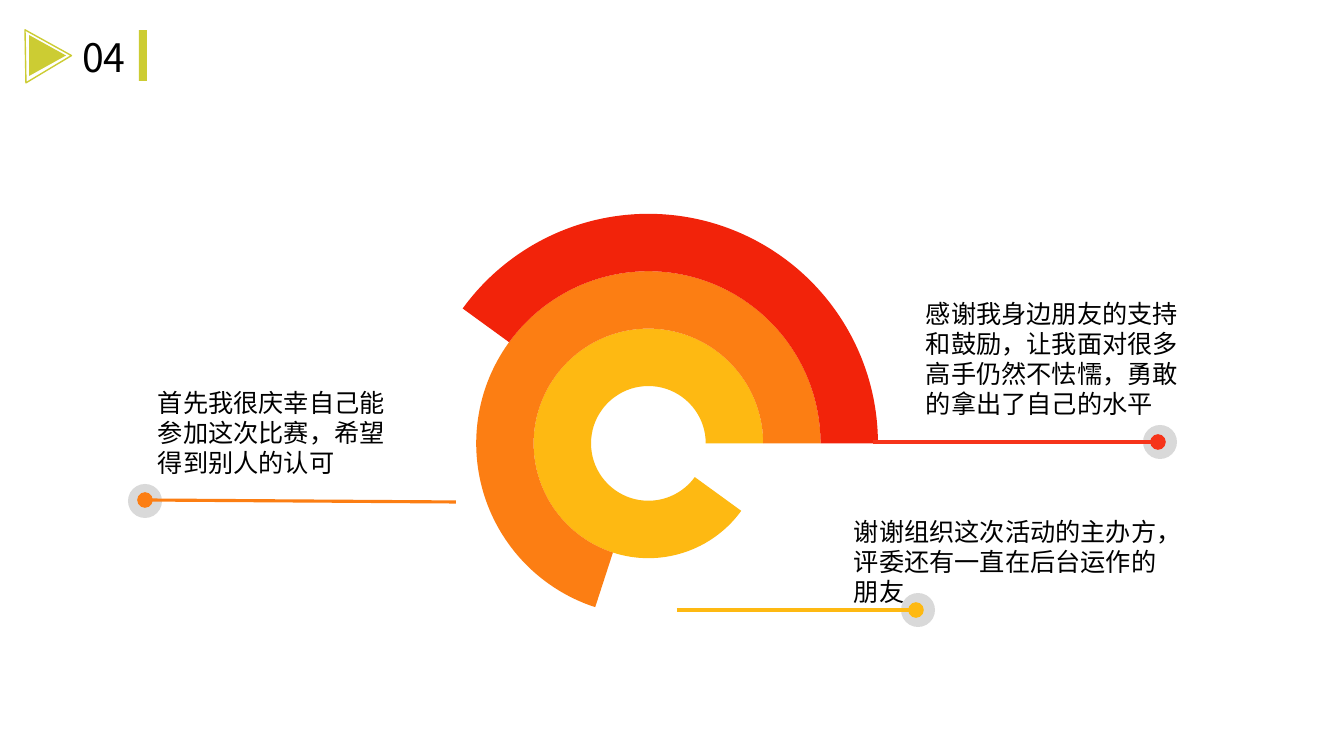
"""Build the closing-thanks slide with a ring chart and three callouts."""
from dataclasses import dataclass

from lxml.etree import SubElement
from pptx import Presentation
from pptx.chart.data import CategoryChartData
from pptx.dml.color import RGBColor
from pptx.enum.chart import XL_CHART_TYPE
from pptx.enum.shapes import MSO_CONNECTOR, MSO_SHAPE
from pptx.enum.text import MSO_ANCHOR, PP_ALIGN
from pptx.oxml import parse_xml
from pptx.oxml.ns import nsdecls, qn
from pptx.slide import Slide
from pptx.util import Emu, Pt

EMU_PER_PX = 12192000 / 1344
BLACK = RGBColor(0x00, 0x00, 0x00)
GREY = RGBColor(0xD9, 0xD9, 0xD9)
LIME = RGBColor(0xCC, 0xCC, 0x33)
YELLOW = RGBColor(0xFE, 0xB9, 0x12)
ORANGE = RGBColor(0xFC, 0x7E, 0x13)
RED = RGBColor(0xF2, 0x23, 0x0A)
BRIGHT_RED = RGBColor(0xF6, 0x34, 0x1A)
HALO = 34


@dataclass(frozen=True)
class Box:
    left: int
    top: int
    width: int
    height: int

    def emu(self) -> tuple[Emu, ...]:
        return tuple(px(n) for n in (self.left, self.top, self.width, self.height))


@dataclass(frozen=True)
class Ring:
    values: tuple[int | None, ...]
    visible: int | None = None
    color: RGBColor | None = None


@dataclass(frozen=True)
class Callout:
    text: str
    text_box: Box
    halo: tuple[int, int]
    start: tuple[int, int]
    end: tuple[int, int]
    color: RGBColor


RINGS = (
    Ring((10, 90, 0, 0), 1, YELLOW),
    Ring((0, 30, 70, 0), 2, ORANGE),
    Ring((0, 0, 60, 40), 3, RED),
    Ring((None, None, None, None)),
)
CALLOUTS = (
    Callout("首先我很庆幸自己能参加这次比赛，希望得到别人的认可",
            Box(148, 382, 256, 102), (128, 484), (456, 502), (145, 500), ORANGE),
    Callout("感谢我身边朋友的支持和鼓励，让我面对很多高手仍然不怯懦，勇敢的拿出了自己的水平",
            Box(916, 293, 291, 132), (1143, 425), (873, 442), (1158, 442), BRIGHT_RED),
    Callout("谢谢组织这次活动的主办方，评委还有一直在后台运作的朋友",
            Box(844, 511, 334, 102), (901, 593), (677, 610), (916, 610), YELLOW),
)


def px(n: int) -> Emu:
    return Emu(round(n * EMU_PER_PX))


def add_figure(s: Slide, kind: MSO_SHAPE, box: Box, fill: RGBColor | None,
               line: RGBColor | None = None, rotation: int = 0) -> None:
    sp = s.shapes.add_shape(kind, *box.emu())
    sp.shadow.inherit = False
    sp.rotation = rotation
    if fill is None:
        sp.fill.background()
    else:
        sp.fill.solid()
        sp.fill.fore_color.rgb = fill
    if line is None:
        sp.line.fill.background()
    else:
        sp.line.color.rgb = line
        sp.line.width = Pt(1)


def add_rings(s: Slide) -> None:
    data = CategoryChartData()
    data.categories = ["1", "2", "3", "4"]
    for n, ring in enumerate(RINGS, 1):
        data.add_series(f"Series {n}", ring.values)
    frame = s.shapes.add_chart(XL_CHART_TYPE.DOUGHNUT, *Box(200, 140, 897, 607).emu(), data)
    chart = frame.chart
    chart.has_legend = False
    chart.has_title = False
    chart.font.name = "Arial"
    chart.font.size = Pt(10)
    chart.font.color.rgb = BLACK
    plot = chart.plots[0]
    plot.vary_by_categories = True
    for series, ring in zip(plot.series, RINGS):
        for n in range(len(ring.values)):
            fmt = series.points[n].format
            fmt.line.fill.background()
            if n == ring.visible:
                fmt.fill.solid()
                fmt.fill.fore_color.rgb = ring.color
            else:
                fmt.fill.background()
    space = chart.element
    for tag, value in (("c:firstSliceAng", "90"), ("c:holeSize", "50")):
        next(space.iter(qn(tag))).set("val", value)
    area = next(space.iter(qn("c:plotArea")))
    for layout in area.findall(qn("c:layout")):
        area.remove(layout)
    layout = parse_xml(f"<c:layout {nsdecls('c')}/>")
    manual = SubElement(layout, qn("c:manualLayout"))
    for tag, value in (("layoutTarget", "inner"), ("xMode", "edge"), ("yMode", "edge"),
                       ("x", "0.18"), ("y", "0.02"), ("w", "0.64"), ("h", "0.96")):
        SubElement(manual, qn(f"c:{tag}")).set("val", value)
    area.insert(0, layout)
    space.find(qn("c:chart")).addnext(parse_xml(
        f"<c:spPr {nsdecls('c', 'a')}><a:noFill/><a:ln><a:noFill/></a:ln></c:spPr>"))


def add_callout(s: Slide, callout: Callout) -> None:
    add_figure(s, MSO_SHAPE.OVAL, Box(*callout.halo, HALO, HALO), GREY)
    ends = (px(n) for n in callout.start + callout.end)
    line = s.shapes.add_connector(MSO_CONNECTOR.STRAIGHT, *ends)
    line.line.color.rgb = callout.color
    line.line.width = Pt(2.25)
    props = line.element.spPr
    tail = SubElement(props.find(qn("a:ln")), qn("a:tailEnd"))
    for key, value in (("type", "oval"), ("w", "lg"), ("len", "lg")):
        tail.set(key, value)
    SubElement(props, qn("a:effectLst"))
    tf = s.shapes.add_textbox(*callout.text_box.emu()).text_frame
    tf.word_wrap = True
    p = tf.paragraphs[0]
    p.text = callout.text
    p.font.name = "Arial"
    p.font.size = Pt(18)
    p.font.color.rgb = BLACK


def add_header(s: Slide) -> None:
    add_figure(s, MSO_SHAPE.RECTANGLE, Box(139, 30, 8, 51), LIME)
    add_figure(s, MSO_SHAPE.ISOSCELES_TRIANGLE, Box(22, 33, 53, 46), None, LIME, 89)
    add_figure(s, MSO_SHAPE.ISOSCELES_TRIANGLE, Box(27, 37, 41, 37), LIME, rotation=90)
    title = s.shapes.title
    title.left, title.top, title.width, title.height = Box(72, 28, 75, 57).emu()
    tf = title.text_frame
    tf.text = "04"
    tf.word_wrap = True
    tf.vertical_anchor = MSO_ANCHOR.TOP
    p = tf.paragraphs[0]
    p.alignment = PP_ALIGN.LEFT
    r = p.runs[0]
    r.font.name = "Noto Sans CJK SC"
    r.font.size = Pt(28)
    r.font.color.rgb = BLACK


def main() -> None:
    prs = Presentation()
    prs.slide_width, prs.slide_height = px(1344), px(756)
    s = prs.slides.add_slide(prs.slide_layouts[5])
    add_rings(s)
    add_header(s)
    for callout in CALLOUTS:
        add_callout(s, callout)
    prs.save("out.pptx")


if __name__ == "__main__":
    main()
